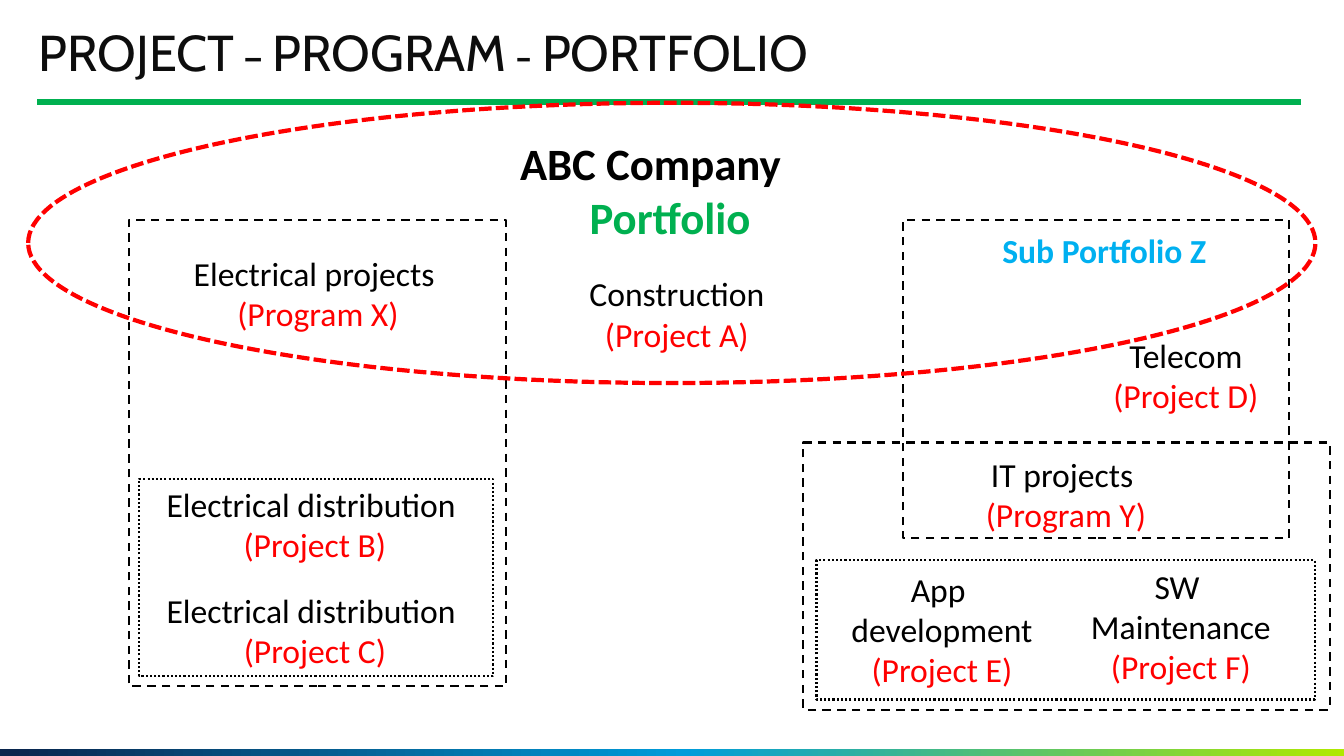
import copy

import pptx
import pptx.dml.color
import pptx.enum.dml
import pptx.enum.shapes
import pptx.enum.text
import pptx.oxml.ns
import pptx.util

CELL = pptx.util.Inches(0.1)
COLUMNS, ROWS = 133.33, 75
LABEL_WIDTH = 32.3
BLACK, RED, GREEN, BLUE = "000000", "FF0000", "00B050", "00B0F0"
DASH = pptx.enum.dml.MSO_LINE.DASH
DOT = pptx.enum.dml.MSO_LINE.ROUND_DOT
SHORT_DASH = pptx.enum.dml.MSO_LINE.SQUARE_DOT
RECTANGLE = pptx.enum.shapes.MSO_SHAPE.RECTANGLE
OVAL = pptx.enum.shapes.MSO_SHAPE.OVAL
CENTER = pptx.enum.text.PP_ALIGN.CENTER
LEFT = pptx.enum.text.PP_ALIGN.LEFT


def color(value):
    return pptx.dml.color.RGBColor.from_string(value)


def cells(*lengths):
    return [round(length * CELL) for length in lengths]


def inside(box, left, top, width, height):
    return box[0] + left, box[1] + top, width, height


def add_outline(slide, box, dash, kind=RECTANGLE, line_color=BLACK, width=1.5):
    shape = slide.shapes.add_shape(kind, *cells(*box))
    shape.shadow.inherit = False
    shape.fill.background()
    shape.line.color.rgb = color(line_color)
    shape.line.width = pptx.util.Pt(width)
    shape.line.dash_style = dash


def add_label(slide, box, left, top, lines, width=LABEL_WIDTH, size=24,
              bold=False, alignment=CENTER):
    height = len(lines) * size * 0.17 + 1
    shape = slide.shapes.add_textbox(*cells(*inside(box, left, top, width, height)))
    frame = shape.text_frame
    frame.word_wrap = True
    frame.auto_size = pptx.enum.text.MSO_AUTO_SIZE.SHAPE_TO_FIT_TEXT
    frame.text = "\n".join(text for text, _ in lines)
    for paragraph, (_, text_color) in zip(frame.paragraphs, lines):
        paragraph.alignment = alignment
        paragraph.font.name = "Calibri"
        paragraph.font.size = pptx.util.Pt(size)
        paragraph.font.bold = bold
        paragraph.font.color.rgb = color(text_color)


def add_work(slide, box, left, top, names, role, width=LABEL_WIDTH):
    lines = [(name, BLACK) for name in names] + [(f"({role})", RED)]
    add_label(slide, box, left, top, lines, width)


def add_footer_bar(slide, box):
    bar = slide.shapes.add_shape(RECTANGLE, *cells(*box))
    bar.shadow.inherit = False
    bar.line.fill.background()
    bar.fill.gradient()
    bar.fill.gradient_angle = 0
    stops = bar.fill.gradient_stops
    first = stops[0]._gs
    first.addnext(copy.deepcopy(first))
    gradient = [(0, "09244C"), (0.51, "009CDA"), (1, "B0E900")]
    for stop, (position, value) in zip(bar.fill.gradient_stops, gradient):
        stop.position = position
        stop.color.rgb = color(value)


def add_heading(slide, box):
    left, top, width, height = box
    rule = slide.shapes.add_connector(
        pptx.enum.shapes.MSO_CONNECTOR.STRAIGHT,
        *cells(left, top + height, left + width, top + height))
    rule.line.color.rgb = color(GREEN)
    rule.line.width = pptx.util.Pt(4.5)
    properties = rule._element.spPr
    properties.append(properties.makeelement(pptx.oxml.ns.qn("a:effectLst"), {}))

    title = slide.shapes.title
    title.left, title.top, title.width, title.height = cells(
        *inside(box, 0.1, 0, 111.9, 5.5))
    frame = title.text_frame
    frame.margin_left = frame.margin_right = frame.margin_top = frame.margin_bottom = 0
    frame.vertical_anchor = pptx.enum.text.MSO_ANCHOR.MIDDLE
    frame.text = "PROJECT – PROGRAM - PORTFOLIO"
    paragraph = frame.paragraphs[0]
    paragraph.alignment = LEFT
    paragraph.line_spacing = 0.9
    paragraph.font.name = "Cabin"
    paragraph.font.size = pptx.util.Pt(36)
    paragraph.font.color.rgb = color("0D0D0D")
    paragraph.runs[0]._r.get_or_add_rPr().set("cap", "small")


def add_electrical_program(slide, box):
    add_outline(slide, inside(box, 1, 25.7, 35.1, 19.6), DOT)
    add_outline(slide, box, DASH)
    add_work(slide, box, 2.6, 2.8, ["Electrical projects "], "Program X")
    for index, letter in enumerate("BC"):
        add_work(slide, box, 2.3, 25.7 + index * 10.5,
                 ["Electrical distribution "], f"Project {letter}")


def add_it_program(slide, box):
    add_outline(slide, inside(box, 1.3, 11.7, 49.5, 13.8), DOT)
    add_outline(slide, box, DASH)
    add_work(slide, box, 9.9, 0.6, ["IT projects "], "Program Y")
    add_work(slide, box, -2.4, 12, ["App ", "development"], "Project E")
    add_work(slide, box, 21.3, 11.7, ["SW ", "Maintenance"], "Project F")


def add_sub_portfolio(slide, box):
    add_outline(slide, box, DASH)
    add_label(slide, box, 3.8, 0.5, [("Sub Portfolio Z", BLUE)], bold=True)
    add_work(slide, box, 11.9, 10.9, ["Telecom"], "Project D")


def add_company_portfolio(slide, box):
    add_outline(slide, box, SHORT_DASH, OVAL, RED, 3)
    add_label(slide, box, 44.9, 2.8, [("ABC Company", BLACK)], 33.7, 32, True)
    add_label(slide, box, 54.7, 8.1, [("Portfolio", GREEN)], 24.9, 32, True, LEFT)
    add_work(slide, box, 53, 16.4, ["Construction"], "Project A", 22.7)


def main():
    presentation = pptx.Presentation()
    presentation.slide_width, presentation.slide_height = cells(COLUMNS, ROWS)
    slide = presentation.slides.add_slide(presentation.slide_layouts[5])
    add_footer_bar(slide, (0, 74.3, COLUMNS, 0.7))
    add_heading(slide, (3.7, 2.7, 125.4, 7.4))
    add_electrical_program(slide, (12.8, 21.8, 37.4, 46.3))
    add_it_program(slide, (79.7, 43.9, 52.2, 26.5))
    add_sub_portfolio(slide, (89.6, 21.8, 38.3, 31.6))
    add_company_portfolio(slide, (2.8, 10.2, 127.7, 27.8))
    presentation.save("out.pptx")


if __name__ == "__main__":
    main()
